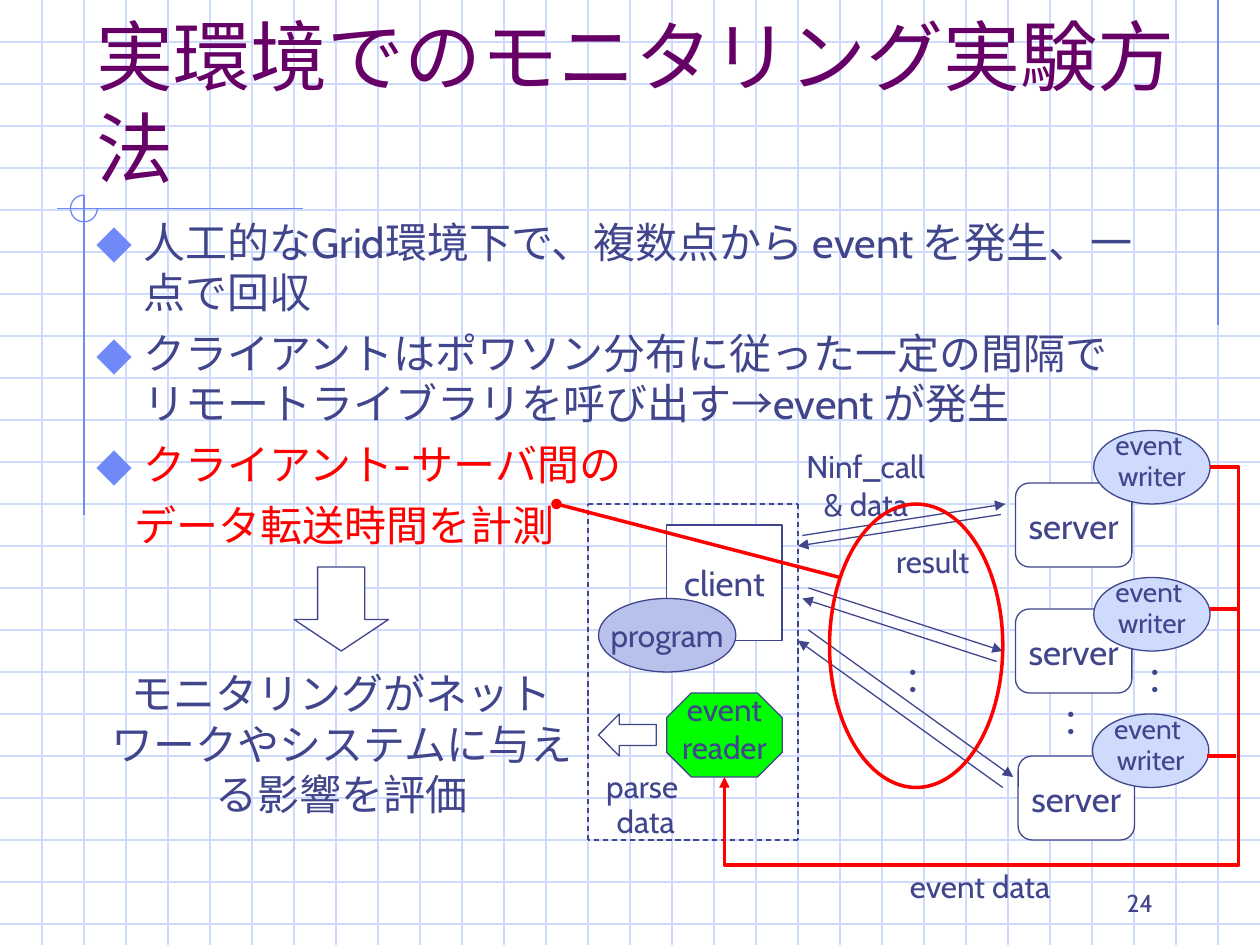
from collections import namedtuple

from pptx import Presentation
from pptx.dml.color import RGBColor
from pptx.enum.dml import MSO_LINE_DASH_STYLE as Dash
from pptx.enum.shapes import MSO_CONNECTOR as Connector, MSO_SHAPE as Shape
from pptx.enum.text import MSO_ANCHOR as Anchor, PP_ALIGN as Align
from pptx.oxml.ns import qn
from pptx.util import Pt

WHITE = RGBColor(0xFF, 0xFF, 0xFF)
GRID = RGBColor(0xCF, 0xDB, 0xFD)
ACCENT = RGBColor(0x6F, 0x89, 0xF7)
INK = RGBColor(0x40, 0x45, 0x8C)
PLUM = RGBColor(0x66, 0x00, 0x66)
RED = RGBColor(0xFF, 0x00, 0x00)
GREEN = RGBColor(0x00, 0xFF, 0x00)
LILAC = RGBColor(0xB7, 0xC1, 0xEB)

FONT = "Cabin"
THIN, THICK = 0.75, 2
SLIDE_W, SLIDE_H = 720, 540

Box = namedtuple("Box", "left top width height")


def inside(box, left, top, width, height):
    return Box(box.left + left, box.top + top, width, height)


def points(box):
    return [Pt(value) for value in box]


def add_xml(parent, tag, **attributes):
    child = parent.makeelement(qn(tag), attributes)
    parent.append(child)
    return child


def set_values(target, values):
    for name, value in values.items():
        setattr(target, name, value)


def write(frame, lines, size, color=INK, align=Align.CENTER, wrap=True,
          anchor=Anchor.TOP, spacings=(None,), gap=0):
    """Write one paragraph per line; the last spacing serves all later lines."""
    set_values(frame, {"word_wrap": wrap, "vertical_anchor": anchor})
    for index, line in enumerate(lines):
        paragraph = frame.add_paragraph() if index else frame.paragraphs[0]
        paragraph.text = line
        set_values(paragraph, {
            "alignment": align,
            "line_spacing": spacings[min(index, len(spacings) - 1)],
            "space_before": Pt(gap if index else 0)})
        set_values(paragraph.font, {"name": FONT, "size": Pt(size)})
        paragraph.font.color.rgb = color


def label(slide, box, lines, size, **layout):
    write(slide.shapes.add_textbox(*points(box)).text_frame, lines, size, **layout)


def node(slide, kind, box, fill=None, line=INK, weight=THIN, adjust=()):
    shape = slide.shapes.add_shape(kind, *points(box))
    shape.shadow.inherit = False
    if fill is None:
        shape.fill.background()
    else:
        shape.fill.solid()
        shape.fill.fore_color.rgb = fill
    shape.line.color.rgb = line
    shape.line.width = Pt(weight)
    for index, value in enumerate(adjust):
        shape.adjustments[index] = value
    return shape


def text_node(slide, kind, box, fill, lines, size, adjust=(), **layout):
    shape = node(slide, kind, box, fill, adjust=adjust)
    write(shape.text_frame, lines, size, wrap=False, anchor=Anchor.MIDDLE, **layout)


def link(slide, start, end, color=INK, weight=THIN, head=None, dash=None,
         kind=Connector.STRAIGHT):
    connector = slide.shapes.add_connector(kind, *points(start + end))
    connector.line.color.rgb = color
    set_values(connector.line, {"width": Pt(weight), "dash_style": dash})
    if head:
        add_xml(connector.line._get_or_add_ln(), "a:tailEnd", type=head)
    add_xml(connector._element.spPr, "a:effectLst")
    return connector


def backdrop(slide, box):
    right, bottom = box.left + box.width, box.top + box.height
    step = 24
    for y in range(box.top + step, bottom, step):
        link(slide, (box.left, y), (right, y), GRID)
    for x in range(box.left + step, right, step):
        link(slide, (x, box.top), (x, bottom), GRID)
    for start, end in (((696, 0), (696, 186)), ((173, 119.3), (32.5, 119.3)),
                       ((48, 111.5), (48, 294.5))):
        link(slide, start, end, ACCENT)
    node(slide, Shape.ARC, inside(box, 40.3, 111.5, 15.3, 15.3), line=ACCENT,
         adjust=(0, 162))


def bullets(slide, box):
    frame = slide.shapes.add_textbox(*points(box)).text_frame
    write(frame, ("人工的なGrid環境下で、複数点から event を発生、一点で回収",
                  "クライアントはポワソン分布に従った一定の間隔で"
                  "リモートライブラリを呼び出す→event が発生",
                  "クライアント-サーバ間の", "データ転送時間を計測"),
          24, align=Align.LEFT, gap=6)
    *marked, continuation = frame.paragraphs
    for paragraph in marked:
        properties = paragraph._p.get_or_add_pPr()
        for name, value in {"marL": Pt(27), "indent": Pt(-27)}.items():
            properties.set(name, str(value))
        mark_color = add_xml(properties, "a:buClr")
        add_xml(mark_color, "a:srgbClr", val=str(ACCENT))
        add_xml(properties, "a:buSzPct", val="110000")
        add_xml(properties, "a:buFont", typeface=FONT)
        add_xml(properties, "a:buChar", char="◆")
        # The schema wants the default run properties after the bullet.
        properties.append(properties.find(qn("a:defRPr")))
    continuation._p.get_or_add_pPr().set("marL", str(Pt(21.6)))
    for paragraph in (marked[-1], continuation):
        paragraph.font.color.rgb = RED


def conclusion(slide, box):
    node(slide, Shape.DOWN_ARROW, inside(box, 120, 0, 54, 48), WHITE,
         adjust=(0.5, 0.375))
    label(slide, inside(box, 0, 54, box.width, 94),
          ["モニタリングがネットワークやシステムに与える影響を評価"], 24)


def client_host(slide, box):
    label(slide, inside(box, -6, 156, 78, 38), ("parse ", "data"), 18,
          spacings=(0.5, 0.4), gap=11.2)
    text_node(slide, Shape.RECTANGLE, inside(box, 45, 12, 66, 66), WHITE,
              ["client"], 20)
    text_node(slide, Shape.OCTAGON, inside(box, 45, 108, 66, 48), GREEN,
              ("event", "reader"), 18, adjust=(0.293,), spacings=(0.5,), gap=11.2)
    node(slide, Shape.LEFT_ARROW, inside(box, 6, 120, 33, 24), WHITE,
         adjust=(0.5, 0.495))
    text_node(slide, Shape.OVAL, inside(box, 6, 54, 78.5, 42), LILAC, ["program"], 18)
    right, bottom = box.left + box.width, box.top + box.height
    corners = [(box.left, box.top), (right, box.top), (right, bottom),
               (box.left, bottom)]
    for start, end in zip(corners, corners[1:] + corners[:1]):
        link(slide, start, end, dash=Dash.DASH)


def servers(slide, box):
    for left, top in ((0, 30), (0, 102), (1.5, 186)):
        text_node(slide, Shape.ROUNDED_RECTANGLE, inside(box, left, top, 66.5, 48),
                  WHITE, ["server"], 20, adjust=(0.167,))
    for left, top in ((44.7, 0), (44, 162), (44.7, 84)):
        text_node(slide, Shape.OVAL, inside(box, left, top, 66.5, 42), GRID,
                  ("event ", "writer"), 16, spacings=(0.4,), gap=10)


def event_return(slide, writer, reader):
    """Lead the event data round the servers, back to the reader."""
    route = link(slide, writer, reader, RED, THICK, "triangle", kind=Connector.ELBOW)
    geometry = route._element.spPr.find(qn("a:prstGeom"))
    geometry.set("prst", "bentConnector4")
    guides = geometry.find(qn("a:avLst"))
    for name, value in (("adj1", -6000), ("adj2", 128500)):
        add_xml(guides, "a:gd", name=name, fmla=f"val {value}")
    for x, y in ((writer[0], 348), (writer[0] - 1.4, 432)):
        link(slide, (x, y), (x + 16.6, y), RED, THICK)


def calls(slide, box):
    for start, end in (((2.5, 18), (118.5, 0)), ((116, 6), (0, 24)),
                       ((6, 72), (123, 156)), ((117, 162), (0, 78)),
                       ((6, 48), (117, 84)), ((113.5, 90), (2.5, 54))):
        link(slide, (box.left + start[0], box.top + start[1]),
             (box.left + end[0], box.top + end[1]), head="triangle")
    for left, top, width, text in ((-3, -36, 83.5, "Ninf_call & data"),
                                   (46.5, 18, 61, "result"),
                                   (54, 204, 100, "event data")):
        label(slide, inside(box, left, top, width, 50), [text], 18)
    for left, top in ((144, 108), (192, 84), (54, 84)):
        label(slide, inside(box, left, top, 30, 32), ["："], 20)


def transfer_callout(slide, box, target):
    node(slide, Shape.OVAL, box, line=RED, weight=THICK)
    link(slide, (box.left + 6, box.top + 42), target, RED, THICK, "oval")


def main():
    deck = Presentation()
    set_values(deck, {"slide_width": Pt(SLIDE_W), "slide_height": Pt(SLIDE_H)})
    slide = deck.slides.add_slide(deck.slide_layouts[6])
    backdrop(slide, Box(0, 0, SLIDE_W, SLIDE_H))
    label(slide, Box(48, 24, 642, 90), ["実環境でのモニタリング実験方法"], 44,
          color=PLUM, align=Align.LEFT, anchor=Anchor.BOTTOM)
    bullets(slide, Box(48, 120, 612, 264))
    client_host(slide, Box(336, 288, 120, 192))
    servers(slide, Box(580.3, 246, 111, 234))
    event_return(slide, (691.2, 267), (414, 444))
    calls(slide, Box(456, 288, 123, 162))
    conclusion(slide, Box(48, 324, 294, 148))
    transfer_callout(slide, Box(474, 288, 99, 162), (318, 288))
    label(slide, Box(516, 492, 150, 36), ["24"], 14, align=Align.RIGHT,
          anchor=Anchor.BOTTOM)
    deck.save("out.pptx")


if __name__ == "__main__":
    main()
